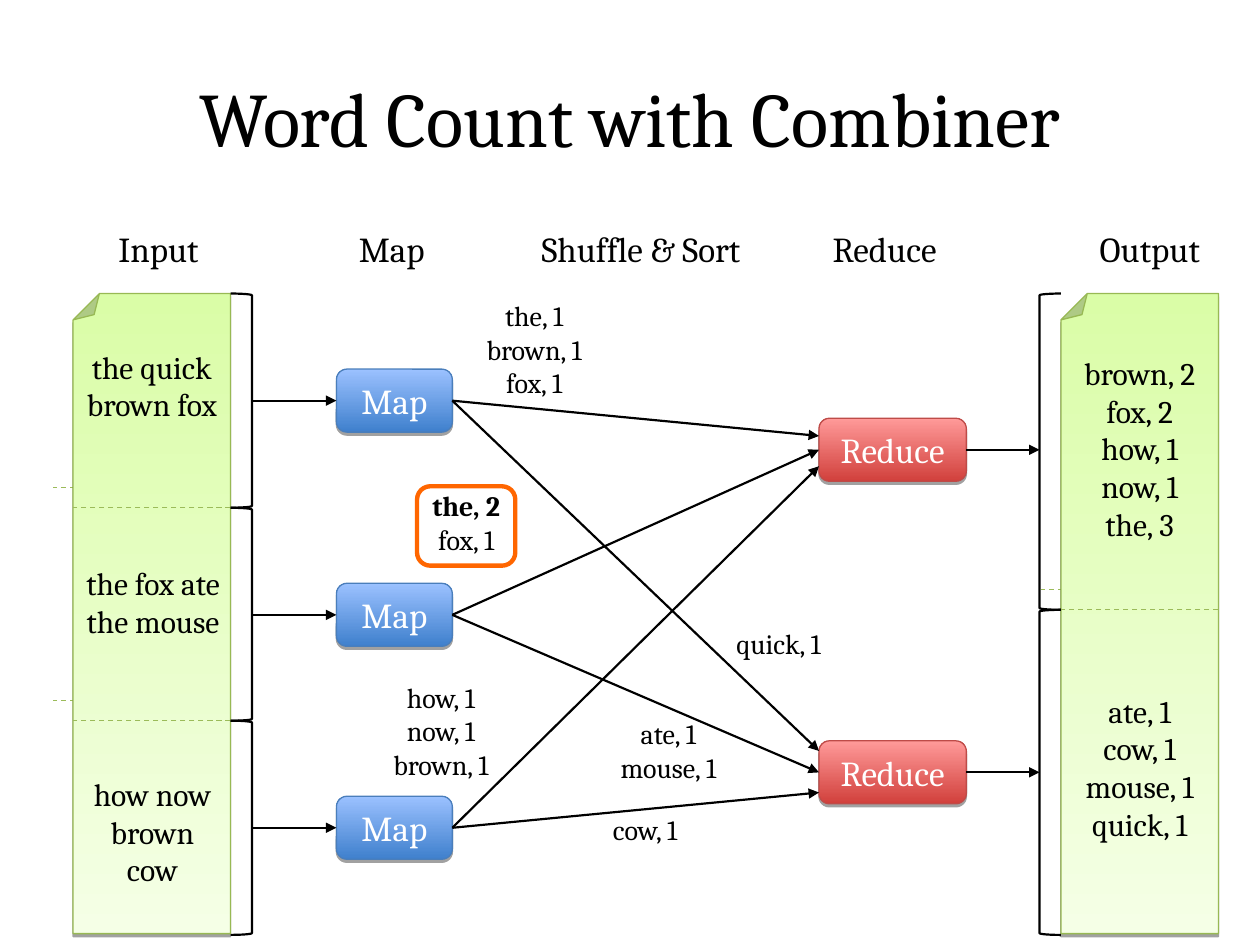
from lxml.etree import SubElement
from pptx import Presentation
from pptx.dml.color import RGBColor
from pptx.enum.dml import MSO_LINE
from pptx.enum.shapes import MSO_CONNECTOR, MSO_SHAPE
from pptx.enum.text import MSO_ANCHOR, PP_ALIGN
from pptx.oxml.ns import qn
from pptx.util import Inches, Pt

BLACK = RGBColor(0x00, 0x00, 0x00)
WHITE = RGBColor(0xFF, 0xFF, 0xFF)
ORANGE = RGBColor(0xFF, 0x66, 0x00)
DASH_GREEN = RGBColor(0x9B, 0xBB, 0x59)
# Each style: bottom colour, top colour, outline
BLUE_STYLE = (RGBColor(0x3F, 0x80, 0xCD), RGBColor(0x9B, 0xC1, 0xFF), RGBColor(0x4A, 0x7E, 0xBB))
RED_STYLE = (RGBColor(0xD1, 0x40, 0x3C), RGBColor(0xFF, 0x9A, 0x99), RGBColor(0xBE, 0x4B, 0x48))
# The sheet is turned upside down, so its first colour shows at the top
SHEET_STYLE = (RGBColor(0xDA, 0xFD, 0xA7), RGBColor(0xF5, 0xFF, 0xE6), RGBColor(0x98, 0xB9, 0x54))

SHEET_TOP, SHEET_WIDTH, SHEET_HEIGHT = 2.33, 1.25, 5.08
BRACKET_WIDTH = 0.17
BOX_HEIGHT = 0.5
MAP_LEFT, MAP_WIDTH = 2.67, 0.92
REDUCE_LEFT, REDUCE_WIDTH = 6.5, 1.17
MAP_CENTERS = [3.18, 4.88, 6.57]
REDUCE_CENTERS = [3.57, 6.13]

HEADINGS = [
    ("Input", 0.84, 0.88), ("Map", 2.75, 0.77), ("Shuffle & Sort", 4.2, 1.91),
    ("Reduce", 6.51, 1.11), ("Output", 8.63, 1.1),
]
INPUT_TEXTS = [
    (["the quick", "brown fox"], (0.58, 2.71, 1.25, 1)),
    (["the fox ate the mouse"], (0.56, 4.43, 1.31, 1)),
    (["how now", "brown cow"], (0.58, 6.1, 1.26, 1)),
]
OUTPUT_TEXTS = [
    (["brown, 2", "fox, 2", "how, 1", "now, 1", "the, 3"], (8.42, 2.76, 1.25, 1.6)),
    (["ate, 1", "cow, 1", "mouse, 1", "quick, 1"], (8.42, 5.44, 1.25, 1.3)),
]
PAIR_LABELS = [
    (["the, 1", "brown, 1", "fox, 1"], (3.71, 2.32, 1.06, 0.9)),
    (["quick, 1"], (5.7, 4.92, 0.96, 0.37)),
    (["how, 1", "now, 1", "brown, 1"], (2.97, 5.35, 1.06, 0.9)),
    (["ate, 1", "mouse, 1"], (4.77, 5.64, 1.07, 0.64)),
    (["cow, 1"], (4.71, 6.4, 0.82, 0.37)),
]
# Mapper, reducer, height of the arrow's end (None: middle of the side)
SHUFFLES = [(0, 0, 3.46), (0, 1, 5.96), (2, 0, 3.7), (1, 1, None), (1, 0, None), (2, 1, 6.29)]


def inches(*lengths):
    return [Inches(length) for length in lengths]


def write(shape, lines, size, color=BLACK, align=PP_ALIGN.CENTER,
          anchor=MSO_ANCHOR.TOP, wrap=True):
    frame = shape.text_frame
    frame.word_wrap = wrap
    frame.vertical_anchor = anchor
    for index, line in enumerate(lines):
        para = frame.add_paragraph() if index else frame.paragraphs[0]
        para.alignment = align
        span = para.add_run()
        span.text = line
        for name, value in {"name": "Cambria", "size": Pt(size), "bold": False}.items():
            setattr(span.font, name, value)
        span.font.color.rgb = color


def add_text(page, lines, box, size, **options):
    shape = page.shapes.add_textbox(*inches(*box))
    write(shape, lines, size, **options)
    return shape


def add_preset(page, kind, box, line_color, line_width):
    shape = page.shapes.add_shape(kind, *inches(*box))
    shape.shadow.inherit = False
    shape.fill.background()
    shape.line.color.rgb = line_color
    shape.line.width = Pt(line_width)
    return shape


def add_shaded(page, kind, box, style):
    """Add a shape with a vertical gradient and a thin shadow below it."""
    first, last, outline = style
    shape = add_preset(page, kind, box, outline, 0.75)
    shape.fill.gradient()
    shape.fill.gradient_angle = 90
    for stop, color, position in zip(shape.fill.gradient_stops, (first, last), (0, 1)):
        stop.color.rgb = color
        stop.position = position
    effects = shape.element.spPr.find(qn("a:effectLst"))
    shadow = SubElement(effects, qn("a:outerShdw"), blurRad="0", dist="22000",
                        dir="5400000", rotWithShape="0")
    color = SubElement(shadow, qn("a:srgbClr"), val="000000")
    SubElement(color, qn("a:alpha"), val="36000")
    return shape


def add_line(page, start, end, color, width):
    line = page.shapes.add_connector(MSO_CONNECTOR.STRAIGHT, *inches(*start, *end))
    line.line.color.rgb = color
    line.line.width = Pt(width)
    SubElement(line.element.spPr, qn("a:effectLst"))
    return line


def add_arrow(page, start, end):
    arrow = add_line(page, start, end, BLACK, 1.25)
    outline = arrow.element.spPr.find(qn("a:ln"))
    SubElement(outline, qn("a:tailEnd"), type="triangle")
    return arrow


def add_dashes(page, left, top):
    line = add_line(page, (left + SHEET_WIDTH, top), (left, top), DASH_GREEN, 0.75)
    line.line.dash_style = MSO_LINE.DASH


def add_sheet(page, left, edges, texts, bracket, bracket_left):
    """Add a folded sheet, cut at the inner edges, with a bracket for each part."""
    for edge in edges[1:-1]:
        add_dashes(page, left - 0.16, edge - 0.16)
    sheet = add_shaded(page, MSO_SHAPE.FOLDED_CORNER,
                       (left, SHEET_TOP, SHEET_WIDTH, SHEET_HEIGHT), SHEET_STYLE)
    sheet.rotation = 180
    for edge in edges[1:-1]:
        add_dashes(page, left, edge)
    for top, bottom in zip(edges, edges[1:]):
        add_preset(page, bracket, (bracket_left, top, BRACKET_WIDTH, bottom - top), BLACK, 1.25)
    for lines, box in texts:
        add_text(page, lines, box, 18)


def add_stage(page, name, left, width, centers, style):
    boxes = []
    for center in centers:
        box = add_shaded(page, MSO_SHAPE.ROUNDED_RECTANGLE,
                         (left, center - BOX_HEIGHT / 2, width, BOX_HEIGHT), style)
        write(box, [name], 20, color=WHITE, anchor=MSO_ANCHOR.MIDDLE)
        boxes.append(box)
    return boxes


def add_flow(page):
    mappers = add_stage(page, "Map", MAP_LEFT, MAP_WIDTH, MAP_CENTERS, BLUE_STYLE)
    reducers = add_stage(page, "Reduce", REDUCE_LEFT, REDUCE_WIDTH, REDUCE_CENTERS, RED_STYLE)
    for mapper, center in zip(mappers, MAP_CENTERS):
        add_arrow(page, (2, center), (MAP_LEFT, center)).end_connect(mapper, 1)
    for source, target, end in SHUFFLES:
        arrow = add_arrow(page, (MAP_LEFT + MAP_WIDTH, MAP_CENTERS[source]),
                          (REDUCE_LEFT, end or REDUCE_CENTERS[target]))
        arrow.begin_connect(mappers[source], 3)
        if end is None:
            arrow.end_connect(reducers[target], 1)
    for reducer, center in zip(reducers, REDUCE_CENTERS):
        arrow = add_arrow(page, (REDUCE_LEFT + REDUCE_WIDTH, center), (8.25, center))
        arrow.begin_connect(reducer, 3)


def add_combined_pairs(page):
    add_preset(page, MSO_SHAPE.ROUNDED_RECTANGLE, (3.31, 3.86, 0.78, 0.63), ORANGE, 2.5)
    label = add_text(page, ["the, 2", "fox, 1"], (3.33, 3.83, 0.74, 0.64), 16, wrap=False)
    label.text_frame.paragraphs[0].runs[0].font.bold = True


def main():
    deck = Presentation()
    deck.slide_width, deck.slide_height = inches(10, 7.5)
    page = deck.slides.add_slide(deck.slide_layouts[6])
    add_text(page, ["Word Count with Combiner"], (0.5, 0.3, 9, 1.25), 44,
             anchor=MSO_ANCHOR.MIDDLE)
    add_sheet(page, 0.58, [2.33, 4.03, 5.72, 7.42], INPUT_TEXTS, MSO_SHAPE.RIGHT_BRACKET, 1.83)
    add_sheet(page, 8.42, [2.33, 4.84, 7.42], OUTPUT_TEXTS, MSO_SHAPE.LEFT_BRACKET, 8.25)
    add_flow(page)
    add_combined_pairs(page)
    for lines, box in PAIR_LABELS:
        add_text(page, lines, box, 16, wrap=False)
    for heading, left, width in HEADINGS:
        add_text(page, [heading], (left, 1.76, width, 0.44), 20, align=PP_ALIGN.LEFT, wrap=False)
    deck.save("out.pptx")


if __name__ == "__main__":
    main()
